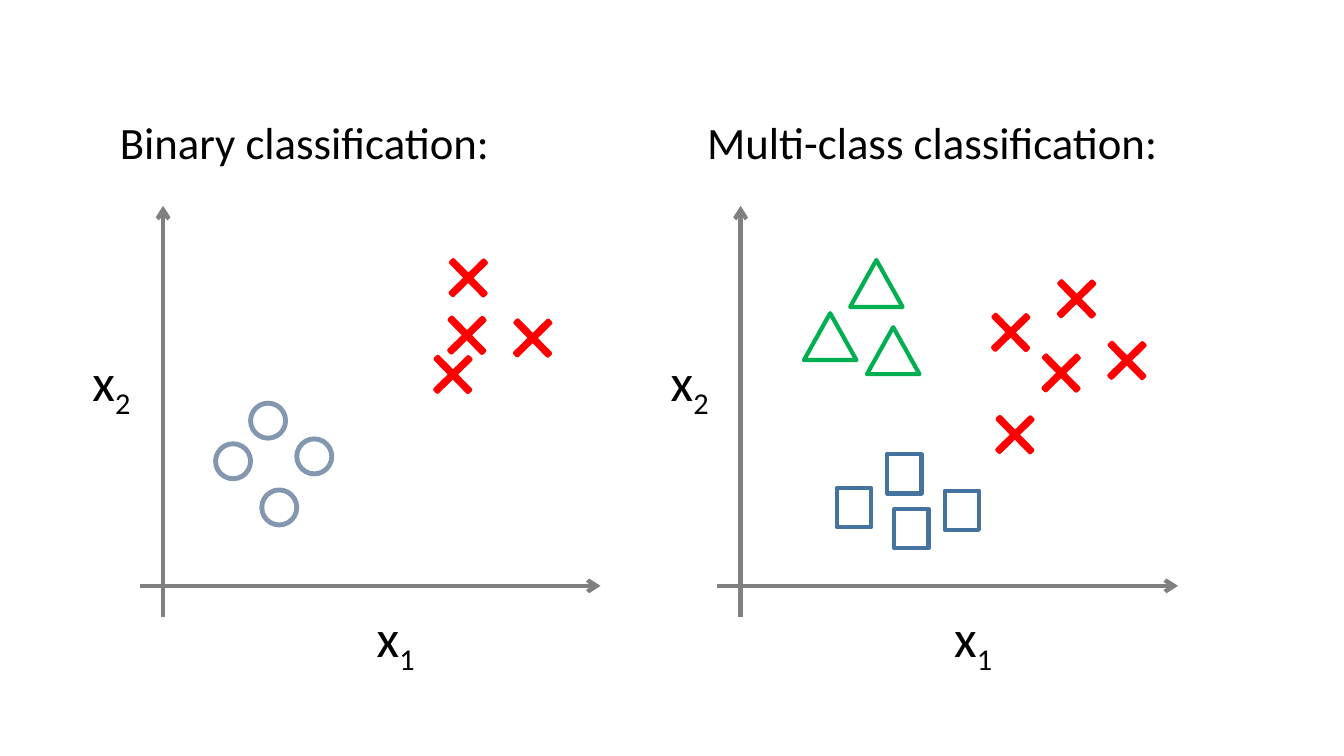
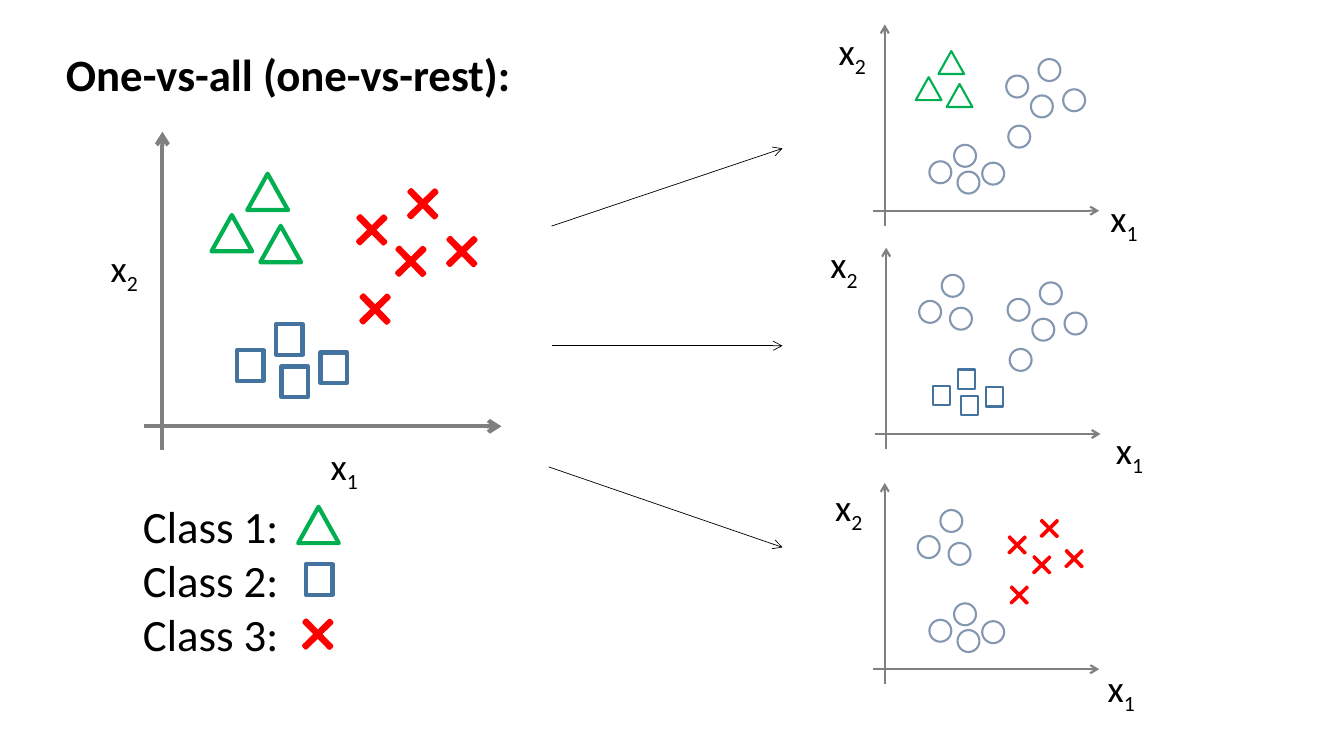
from dataclasses import dataclass

from lxml import etree
from pptx import Presentation
from pptx.dml.color import RGBColor
from pptx.enum import shapes, text
from pptx.oxml import ns
from pptx.util import Pt


@dataclass(frozen=True)
class Theme:
    font: str = "Calibri"
    ink: str = "000000"
    axis: str = "808080"
    slate: str = "8497B0"
    red: str = "FF0000"
    blue: str = "43739E"
    green: str = "00B050"
    heading: float = 32
    label_large: float = 37.3
    label_small: float = 26.7
    stroke: float = 3
    hairline: float = 0.5


THEME = Theme()
GEOMETRY = shapes.MSO_SHAPE

# Marker sizes and line weights at scale 1
MARKERS = {
    "circle": dict(form=GEOMETRY.OVAL, size=(25, 25), color=THEME.slate, weight=3.5),
    "rest": dict(form=GEOMETRY.OVAL, size=(32, 32), color=THEME.slate, weight=3),
    "triangle": dict(form=GEOMETRY.ISOSCELES_TRIANGLE, size=(37.5, 33.5),
                     color=THEME.green, weight=3),
    "square": dict(form=GEOMETRY.RECTANGLE, size=(24.5, 28), color=THEME.blue, weight=3),
    "cross": dict(form=GEOMETRY.CROSS, size=(33, 33), color=THEME.red, weight=3,
                  fill=THEME.ink, rotation=45.6, adjustment=0.466),
}

# Data points: distance right of and above the origin, at scale 1
BINARY = {
    "circle": [(50, 89), (108, 92.5), (83, 56), (75, 118)],
    "cross": [(207, 151), (218, 220), (264, 177), (217, 179)],
}
CLASSES = {
    "triangle": [(97, 216), (64, 178), (109, 168)],
    "square": [(117, 80), (122, 41), (158, 54), (81, 56)],
    "cross": [(196, 108), (193, 181), (229, 152), (240, 205), (276, 161)],
}


def one_against_rest(chosen):
    return {kind if kind == chosen else f"rest of {kind}": points
            for kind, points in CLASSES.items()}


LARGE = dict(scale=1, thickness=1, label_size=THEME.label_large, label_box=(44, 52.5))
MEDIUM = dict(scale=0.775, thickness=1, label_size=THEME.label_small, label_box=(35, 39.5))
SMALL = {**MEDIUM, "scale": 0.49, "thickness": 0.5}

SLIDES = [
    dict(
        texts=[
            dict(lines=["Binary classification:"], at=(78.5, 78.5), size=(342, 46)),
            dict(lines=["Multi-class classification:"], at=(498, 78.5), size=(342, 46)),
        ],
        plots=[
            dict(LARGE, origin=(116.5, 418.5), data=BINARY, x1=(262, 429), x2=(59, 246)),
            dict(LARGE, origin=(529, 418.5), data=CLASSES, x1=(674.5, 429), x2=(472, 246)),
        ],
        legend=[],
        arrows=[],
    ),
    dict(
        texts=[
            dict(lines=["One-vs-all (one-vs-rest):"], at=(40, 30), size=(342, 46), bold=True),
            dict(lines=["Class 1:", "Class 2:", "Class 3:"], at=(95, 353), size=(254, 124)),
        ],
        plots=[
            dict(MEDIUM, origin=(116, 304.5), data=CLASSES, x1=(229, 313), x2=(72, 171.5)),
            dict(SMALL, origin=(632, 150.5), data=one_against_rest("triangle"),
                 x1=(786, 135.5), x2=(592, 16.5)),
            dict(SMALL, origin=(633, 310), data=one_against_rest("square"),
                 x1=(790, 301.5), x2=(586, 169)),
            dict(SMALL, origin=(632, 478), data=one_against_rest("cross"),
                 x1=(784, 471.5), x2=(589.5, 342)),
        ],
        legend=[("triangle", 227.5, 375), ("square", 228, 414), ("cross", 227, 453)],
        arrows=[((394, 161.5), (559, 106)), ((394, 247), (559, 247)),
                ((392, 333.5), (559, 391))],
    ),
]


def add_text(page, lines, at, size, type_size=THEME.heading, bold=False, wrap=True):
    """Each line is a list of (words, is_subscript) pairs or a plain string."""
    box = page.shapes.add_textbox(*map(Pt, at), *map(Pt, size))
    frame = box.text_frame
    frame.word_wrap = wrap
    frame.auto_size = text.MSO_AUTO_SIZE.SHAPE_TO_FIT_TEXT
    look = dict(name=THEME.font, size=Pt(type_size), bold=bold)
    for index, line in enumerate(lines):
        para = frame.add_paragraph() if index else frame.paragraphs[0]
        for words, subscript in [(line, False)] if isinstance(line, str) else line:
            span = para.add_run()
            span.text = words
            for key, value in look.items():
                setattr(span.font, key, value)
            span.font.color.rgb = RGBColor.from_string(THEME.ink)
            if subscript:
                span._r.get_or_add_rPr().set("baseline", "-25000")


def add_arrow(page, start, end, color, weight):
    arrow = page.shapes.add_connector(shapes.MSO_CONNECTOR.STRAIGHT,
                                      *map(Pt, (*start, *end)))
    arrow.line.color.rgb = RGBColor.from_string(color)
    arrow.line.width = Pt(weight)
    properties = arrow._element.spPr
    outline = properties.find(ns.qn("a:ln"))
    etree.SubElement(outline, ns.qn("a:tailEnd"), type="arrow")
    etree.SubElement(properties, ns.qn("a:effectLst"))


def add_marker(page, kind, center, scale, thickness=1):
    marker = MARKERS[kind]
    width, height = (side * scale for side in marker["size"])
    left, top = center[0] - width / 2, center[1] - height / 2
    shape = page.shapes.add_shape(marker["form"], *map(Pt, (left, top, width, height)))
    shape.shadow.inherit = False
    shape.rotation = marker.get("rotation", 0)
    if "adjustment" in marker:
        shape.adjustments[0] = marker["adjustment"]
    if "fill" in marker:
        shape.fill.solid()
        shape.fill.fore_color.rgb = RGBColor.from_string(marker["fill"])
    else:
        shape.fill.background()
    shape.line.color.rgb = RGBColor.from_string(marker["color"])
    shape.line.width = Pt(marker["weight"] * thickness)


def add_plot(page, plot):
    scale, thickness = plot["scale"], plot["thickness"]

    def place(right, up):
        return plot["origin"][0] + right * scale, plot["origin"][1] - up * scale

    for start, end in [((0, -22), (0, 271.5)), ((-16.5, 0), (312.5, 0))]:
        add_arrow(page, place(*start), place(*end), THEME.axis, THEME.stroke * thickness)
    for axis in ("x1", "x2"):
        add_text(page, [[(axis[0], False), (axis[1], True)]], plot[axis],
                 plot["label_box"], plot["label_size"], wrap=False)
    for name, points in plot["data"].items():
        kind = name.split()[0]
        for point in points:
            add_marker(page, kind, place(*point), scale, thickness)


def main():
    deck = Presentation()
    deck.slide_width, deck.slide_height = Pt(960), Pt(540)
    for content in SLIDES:
        page = deck.slides.add_slide(deck.slide_layouts[6])
        for plot in content["plots"]:
            add_plot(page, plot)
        for item in content["texts"]:
            add_text(page, **item)
        for kind, x, y in content["legend"]:
            add_marker(page, kind, (x, y), MEDIUM["scale"])
        for start, end in content["arrows"]:
            add_arrow(page, start, end, THEME.ink, THEME.hairline)
    deck.save("out.pptx")


if __name__ == "__main__":
    main()
